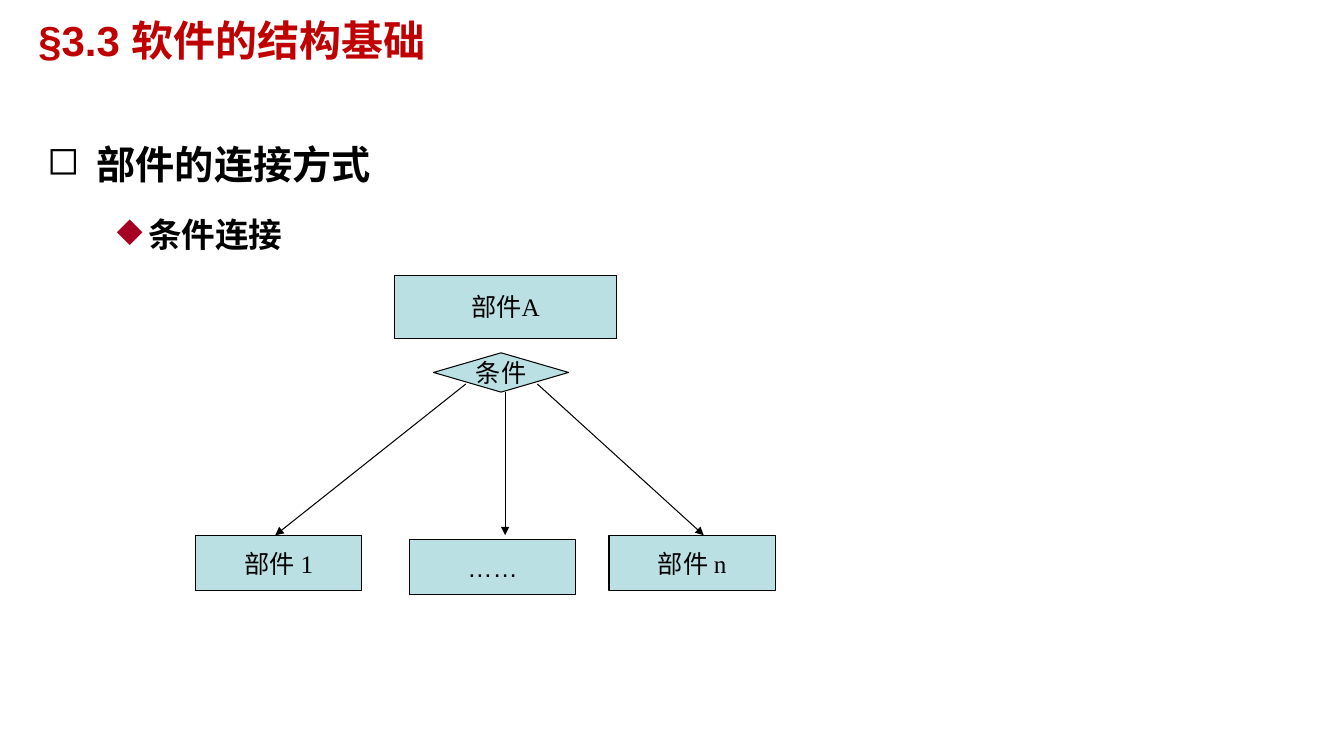
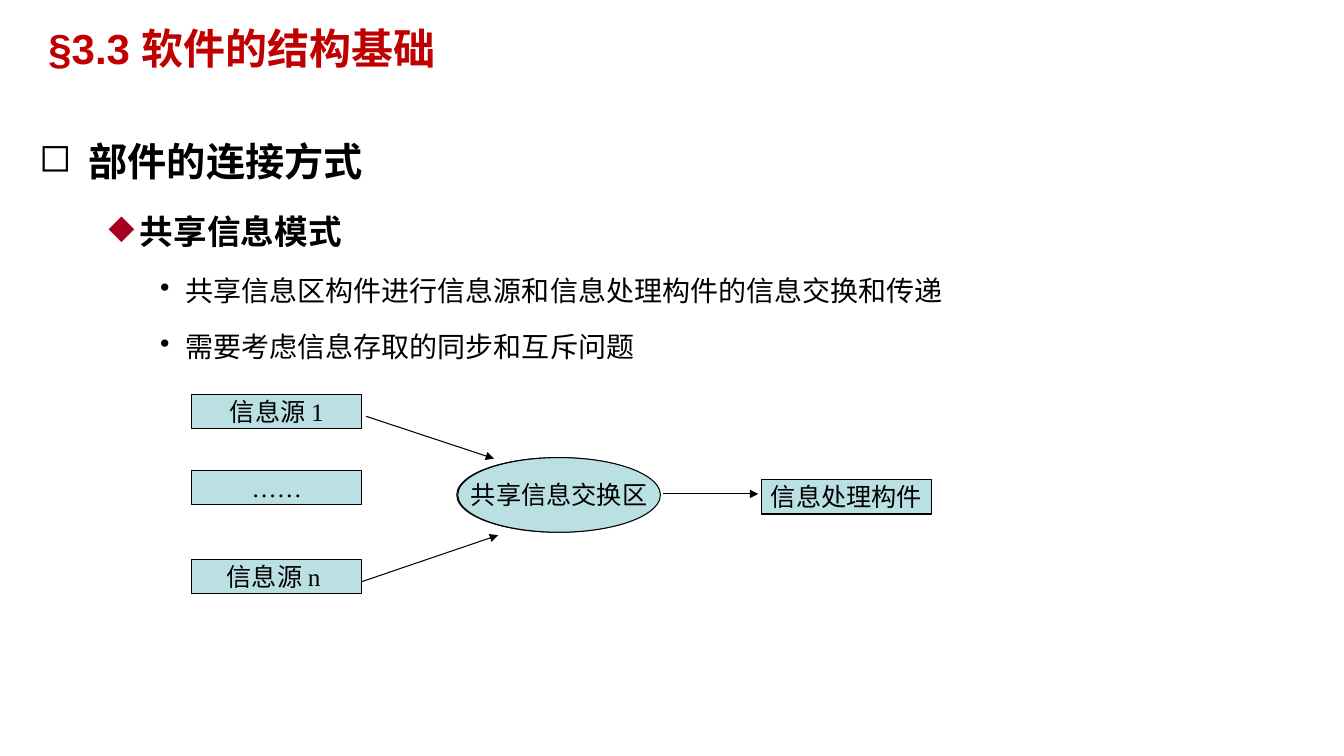
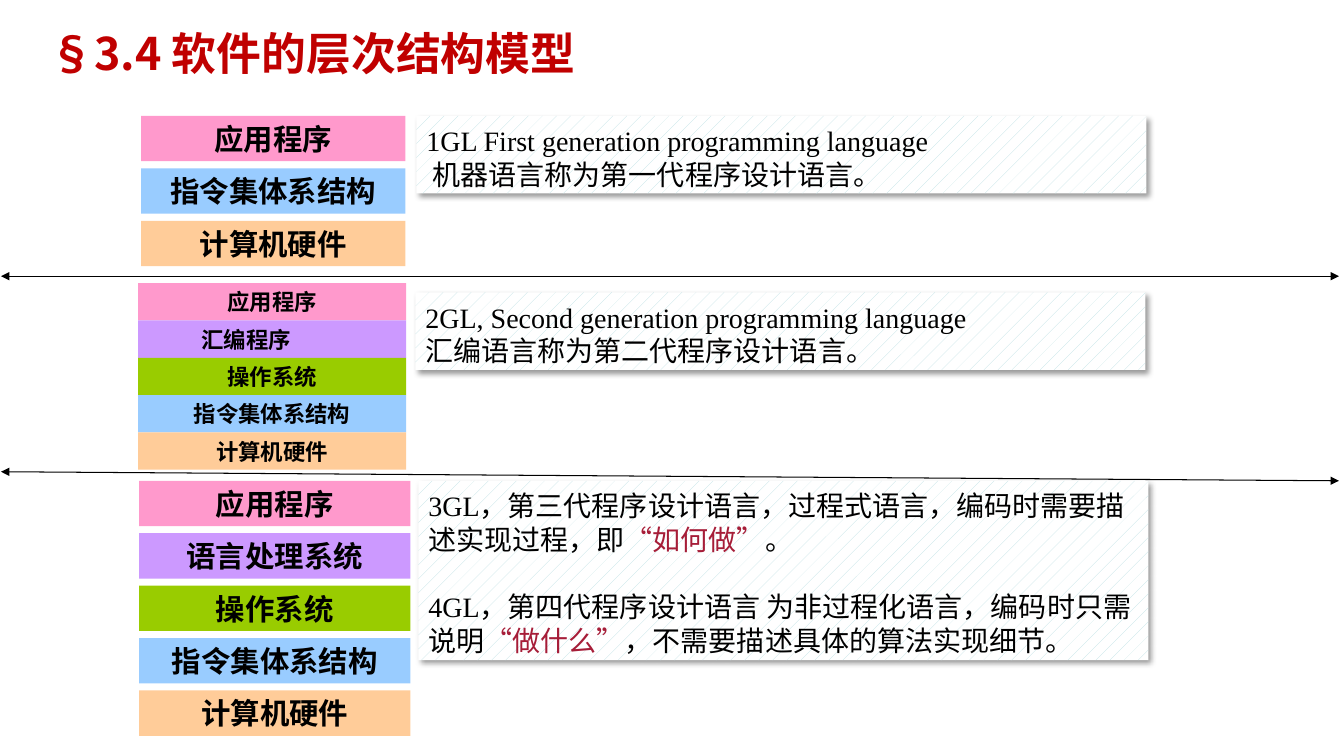
"""Build three slides on software structure and layered models."""
from dataclasses import dataclass

import pptx
import pptx.dml.color
import pptx.enum.dml
import pptx.enum.shapes
import pptx.enum.text
import pptx.oxml
import pptx.oxml.ns
import pptx.util

Inches = pptx.util.Inches
Pt = pptx.util.Pt
Align = pptx.enum.text.PP_ALIGN
Anchor = pptx.enum.text.MSO_ANCHOR
Preset = pptx.enum.shapes.MSO_SHAPE

COLORS = {
    "ink": "000000", "paper": "FFFFFF", "title": "C00000", "bullet": "A50021",
    "node": "BBE0E3", "emphasis": "A61D38", "application": "FF99CC",
    "language": "CC99FF", "system": "99CC00", "instruction": "99CCFF",
    "hardware": "FFCC99",
}
SANS, SERIF, CHINESE = "Arial", "Times New Roman", "Noto Sans CJK SC"
NAMESPACE = 'xmlns:a="http://schemas.openxmlformats.org/drawingml/2006/main"'


@dataclass(frozen=True)
class Run:
    text: str
    color: str = "ink"
    font: str = SERIF


@dataclass(frozen=True)
class Level:
    size: int
    left: float
    hang: float
    line: int
    mark: str
    mark_color: str = "ink"
    bold: bool = True


@dataclass(frozen=True)
class Node:
    text: str
    left: float
    top: float
    width: float
    height: float
    preset: int = Preset.RECTANGLE
    font: str = SERIF
    east: str = CHINESE


@dataclass(frozen=True)
class Arrow:
    x1: float
    y1: float
    x2: float
    y2: float
    both: bool = False


@dataclass(frozen=True)
class Layer:
    text: str
    color: str


@dataclass(frozen=True)
class Stack:
    layers: tuple
    left: float
    top: float
    width: float
    height: float
    pitch: float
    size: int


@dataclass(frozen=True)
class Panel:
    paragraphs: tuple
    left: float
    top: float
    height: float


TOPIC = Level(28, 0.49, 0.49, 53, "◻")
SUBTOPIC = Level(24, 1, 0.31, 48, "◆", "bullet")
DETAIL = Level(20, 1.45, 0.25, 40, "•", bold=False)

APPLICATION = Layer("应用程序", "application")
ASSEMBLER = Layer("汇编程序", "language")
TRANSLATOR = Layer("语言处理系统", "language")
SYSTEM = Layer("操作系统", "system")
MACHINE = (Layer("指令集体系结构", "instruction"), Layer("计算机硬件", "hardware"))


def rgb(name: str):
    """Return the named colour."""
    return pptx.dml.color.RGBColor.from_string(COLORS[name])


def xml(markup: str):
    """Parse one drawing element."""
    tag, rest = markup[1:].split(" ", 1)
    return pptx.oxml.parse_xml(f"<{tag} {NAMESPACE} {rest}")


def write(frame, runs, *, size, bold=False, east=CHINESE, align=Align.LEFT,
          line=None, before=0, left=0.0, first=0.0):
    """Add a formatted paragraph of runs to a text frame."""
    paragraph = frame.add_paragraph() if frame.text else frame.paragraphs[0]
    paragraph.alignment = align
    paragraph.space_before = Pt(before)
    if line:
        paragraph.line_spacing = line
    properties = paragraph._p.get_or_add_pPr()
    properties.set("marL", str(Inches(left)))
    properties.set("indent", str(Inches(first)))
    for piece in runs:
        run = paragraph.add_run()
        run.text = piece.text
        run.font.name = piece.font
        run.font.size = Pt(size)
        run.font.bold = bold
        run.font.color.rgb = rgb(piece.color)
        latin = run._r.rPr.find(pptx.oxml.ns.qn("a:latin"))
        latin.addnext(xml(f'<a:ea typeface="{east}"/>'))
    return paragraph


def add_frame(slide, left, top, width, height):
    """Add a wrapping text box and return its frame."""
    frame = slide.shapes.add_textbox(
        Inches(left), Inches(top), Inches(width), Inches(height)).text_frame
    frame.word_wrap = True
    return frame


def add_title(slide, runs, left: float, top: float, size: int):
    """Add the red slide title."""
    frame = add_frame(slide, left, top, 13.33 - max(left, 0), 0.75)
    frame.margin_left, frame.margin_top = Inches(0.08), Inches(0.04)
    write(frame, runs, size=size, bold=True, line=0.9, first=0.4)


def add_outline(slide, entries, left: float, top: float):
    """Add the bulleted outline."""
    frame = add_frame(slide, left, top, 12, 2.7)
    for level, text in entries:
        paragraph = write(frame, [Run(text, font=CHINESE)], size=level.size,
                          bold=level.bold, line=Pt(level.line),
                          left=level.left, first=-level.hang)
        properties = paragraph._p.get_or_add_pPr()
        properties.append(xml(
            f'<a:buClr ><a:srgbClr val="{COLORS[level.mark_color]}"/></a:buClr>'))
        properties.append(xml(f'<a:buChar char="{level.mark}"/>'))


def add_block(slide, preset, left, top, width, height):
    """Add a plain preset shape without a line."""
    block = slide.shapes.add_shape(
        preset, Inches(left), Inches(top), Inches(width), Inches(height))
    block.shadow.inherit = False
    block.line.fill.background()
    return block


def add_node(slide, node: Node):
    """Add an outlined diagram node."""
    block = add_block(slide, node.preset, node.left, node.top, node.width, node.height)
    block.fill.solid()
    block.fill.fore_color.rgb = rgb("node")
    block.line.color.rgb = rgb("ink")
    block.line.width = Pt(0.75)
    if node.text:
        frame = block.text_frame
        frame.word_wrap = False
        frame.vertical_anchor = Anchor.MIDDLE
        write(frame, [Run(node.text, font=node.font)], size=18,
              east=node.east, align=Align.CENTER)


def add_arrow(slide, arrow: Arrow):
    """Add a thin black arrow."""
    line = slide.shapes.add_connector(
        pptx.enum.shapes.MSO_CONNECTOR.STRAIGHT, Inches(arrow.x1),
        Inches(arrow.y1), Inches(arrow.x2), Inches(arrow.y2))
    line.line.color.rgb = rgb("ink")
    line.line.width = Pt(0.75)
    for end in ("headEnd", "tailEnd") if arrow.both else ("tailEnd",):
        line.line._get_or_add_ln().append(xml(f'<a:{end} type="triangle"/>'))
    line._element.spPr.append(xml("<a:effectLst />"))


def add_stack(slide, stack: Stack):
    """Add a column of coloured layers."""
    for row, layer in enumerate(stack.layers):
        block = add_block(slide, Preset.RECTANGLE, stack.left,
                          stack.top + row * stack.pitch, stack.width, stack.height)
        block.fill.solid()
        block.fill.fore_color.rgb = rgb(layer.color)
        frame = block.text_frame
        frame.margin_top = frame.margin_bottom = 0
        frame.vertical_anchor = Anchor.MIDDLE
        shifted = layer is ASSEMBLER
        write(frame, [Run(layer.text, font=SANS)], size=stack.size, bold=True,
              align=Align.LEFT if shifted else Align.CENTER,
              left=0.53 if shifted else 0)


def add_panel(slide, panel: Panel):
    """Add a shadowed panel explaining a language generation."""
    block = add_block(slide, Preset.RECTANGLE, panel.left, panel.top, 7.24, panel.height)
    block.fill.patterned()
    block.fill.pattern = pptx.enum.dml.MSO_PATTERN.PERCENT_5
    block.fill.fore_color.rgb = rgb("node")
    block.fill.back_color.rgb = rgb("paper")
    effects = block._element.spPr.find(pptx.oxml.ns.qn("a:effectLst"))
    effects.append(xml(
        f'<a:outerShdw blurRad="{Pt(4)}" dist="{Pt(3)}" dir="2700000" algn="tl">'
        f'<a:srgbClr val="{COLORS["ink"]}"><a:alpha val="40000"/></a:srgbClr>'
        '</a:outerShdw>'))
    frame = block.text_frame
    frame.word_wrap = True
    frame.vertical_anchor = Anchor.TOP
    frame.margin_top = Inches(0.08)
    for before, runs in panel.paragraphs:
        write(frame, runs, size=20, line=Pt(24), before=before)


def add_diagram(slide, nodes, arrows):
    """Add nodes and the arrows between them."""
    for node in nodes:
        add_node(slide, node)
    for arrow in arrows:
        add_arrow(slide, arrow)


def build_condition(slide):
    """Build the slide on conditional connection."""
    add_outline(slide, [(TOPIC, "部件的连接方式"), (SUBTOPIC, "条件连接")], 0.37, 1.07)
    part = (1.65, 0.55)
    add_diagram(slide, [
        Node("部件A", 3.91, 2.73, 2.21, 0.63),
        Node("部件 1", 1.94, 5.31, *part),
        Node("……", 4.06, 5.35, *part, font=SANS, east=SANS),
        Node("部件 n", 6.04, 5.31, *part),
        Node("条件", 4.3, 3.5, 1.34, 0.39, Preset.DIAMOND),
    ], [
        Arrow(4.62, 3.81, 2.73, 5.31),
        Arrow(5.33, 3.81, 6.98, 5.31),
        Arrow(5.01, 3.89, 5.01, 5.31),
    ])


def build_sharing(slide):
    """Build the slide on the shared information mode."""
    add_outline(slide, [
        (TOPIC, "部件的连接方式"),
        (SUBTOPIC, "共享信息模式"),
        (DETAIL, "共享信息区构件进行信息源和信息处理构件的信息交换和传递"),
        (DETAIL, "需要考虑信息存取的同步和互斥问题"),
    ], 0.29, 1.04)
    bar, oval = (1.69, 0.34), (2.01, 0.74, Preset.OVAL)
    add_diagram(slide, [
        Node("信息源 1", 1.9, 3.91, *bar),
        Node("……", 1.9, 4.67, *bar, east=SERIF),
        Node("信息源 n ", 1.9, 5.55, *bar),
        Node("", 4.53, 4.54, *oval),
        Node("共享信息交换区", 4.54, 4.54, *oval),
        Node("信息处理构件", 7.55, 4.76, *bar),
    ], [
        Arrow(3.63, 4.13, 4.9, 4.55),
        Arrow(3.59, 5.77, 4.94, 5.31),
        Arrow(6.58, 4.9, 7.52, 4.9),
    ])


def build_layers(slide):
    """Build the slide on layered models."""
    for stack in (
        Stack((APPLICATION, *MACHINE), 1.4, 1.15, 2.62, 0.45, 0.52, 21),
        Stack((APPLICATION, ASSEMBLER, SYSTEM, *MACHINE), 1.37, 2.81, 2.66, 0.37, 0.37, 16),
        Stack((APPLICATION, TRANSLATOR, SYSTEM, *MACHINE), 1.38, 4.77, 2.69, 0.45, 0.52, 21),
    ):
        add_stack(slide, stack)
    for panel in (
        Panel(((0, [Run("1GL First generation programming language")]),
               (0, [Run(" 机器语言称为第一代程序设计语言。")])), 4.13, 1.15, 0.77),
        Panel(((0, [Run("2GL, Second generation programming language")]),
               (0, [Run("汇编语言称为第二代程序设计语言。")])), 4.12, 2.9, 0.77),
        Panel(((0, [Run("3GL，第三代程序设计语言，过程式语言，编码时需要描述实现过程，即"),
                    Run("“如何做”", "emphasis"), Run("。")]),
               (24, [Run("4GL，第四代程序设计语言 为非过程化语言，编码时只需说明"),
                     Run("“做什么”", "emphasis"),
                     Run("，不需要描述具体的算法实现细节。")])), 4.15, 4.77, 1.78),
    ):
        add_panel(slide, panel)
    add_arrow(slide, Arrow(0.01, 2.74, 13.28, 2.74, both=True))
    add_arrow(slide, Arrow(0.01, 4.68, 13.28, 4.77, both=True))


def main():
    """Build and save the presentation."""
    deck = pptx.Presentation()
    deck.slide_width, deck.slide_height = Inches(13.33), Inches(7.5)
    structure = [Run("§3.3 ", "title", SANS), Run("软件的结构基础", "title", CHINESE)]
    layering = [Run("§3.4 软件的层次结构模型", "title", CHINESE)]
    for build, title, left, top, size in (
        (build_condition, structure, -0.1, 0.16, 30),
        (build_sharing, structure, 0, 0.24, 30),
        (build_layers, layering, 0.01, 0.28, 32),
    ):
        slide = deck.slides.add_slide(deck.slide_layouts[6])
        add_title(slide, title, left, top, size)
        build(slide)
    deck.save("out.pptx")


if __name__ == "__main__":
    main()
